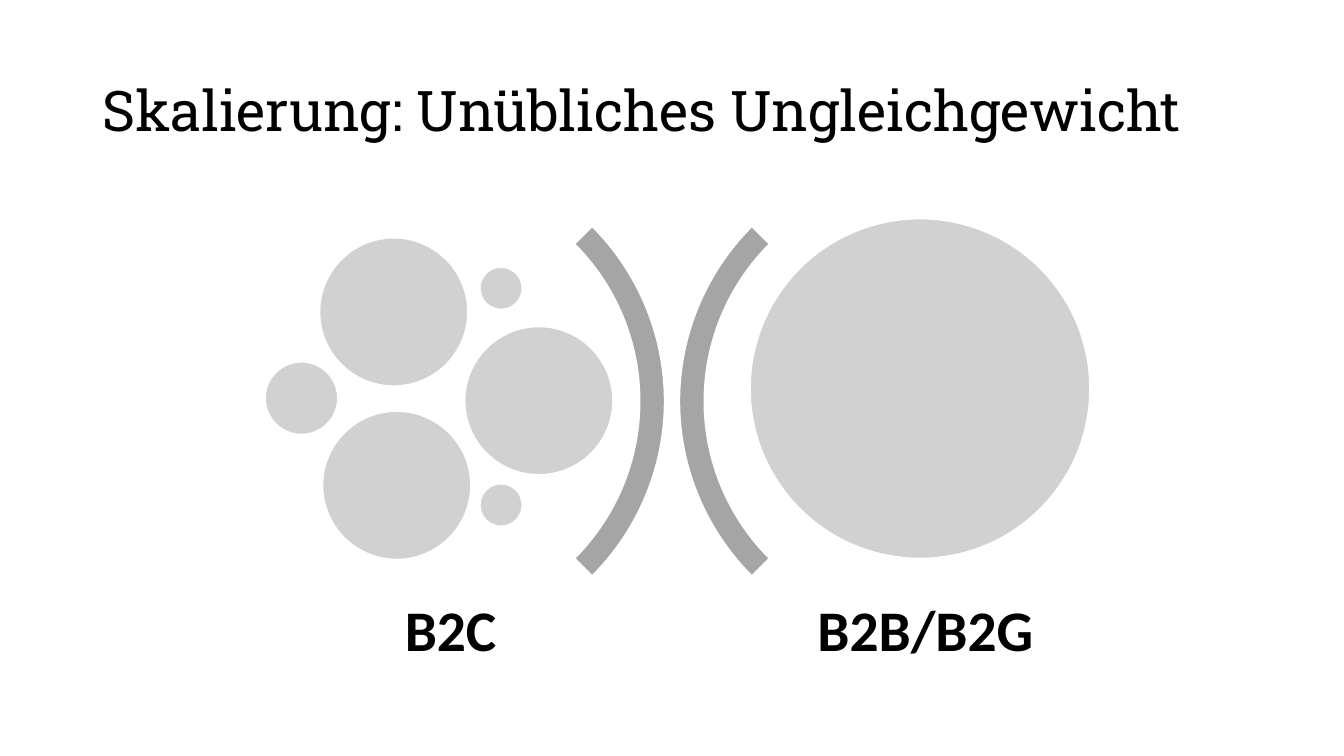
from dataclasses import dataclass

from lxml import etree
from pptx import Presentation, util as u
from pptx.dml.color import RGBColor
from pptx.enum import shapes, text
from pptx.oxml import ns

EMU_PER_PX = 9144


@dataclass(frozen=True)
class Theme:
    ink: RGBColor = RGBColor(0x00, 0x00, 0x00)
    gray: RGBColor = RGBColor(0xA5, 0xA5, 0xA5)
    outline: RGBColor = RGBColor(0xFF, 0xFF, 0xFF)
    circle_alpha: int = 50
    title_font: str = "Roboto Slab"
    label_font: str = "Calibri"
    title_size: int = 40
    label_size: int = 41


@dataclass(frozen=True)
class Circle:
    left: int
    top: int
    size: int


@dataclass(frozen=True)
class Arc:
    left: int
    rotation: int


@dataclass(frozen=True)
class Label:
    left: int
    wording: str


THEME = Theme()
LARGE, MEDIUM, SMALL, TINY = 337, 147, 72, 42
ARC_TOP, ARC_SIZE = 153, 490
ARC_ADJUSTMENTS = (135, 189, 0.05)
LABEL_TOP, LABEL_WIDTH, LABEL_HEIGHT, LABEL_INSET = 579, 372, 98, 17

ARCS = [Arc(169, 90), Arc(674, 270)]
CIRCLES = [
    Circle(744, 217, LARGE),
    Circle(317, 236, MEDIUM),
    Circle(263, 359, SMALL),
    Circle(476, 265, TINY),
    Circle(461, 324, MEDIUM),
    Circle(476, 480, TINY),
    Circle(320, 408, MEDIUM),
]
LABELS = [Label(732, "B2B/B2G"), Label(261, "B2C")]


def px(length: int) -> u.Emu:
    return u.Emu(length * EMU_PER_PX)


def add_square_shape(page, kind: shapes.MSO_SHAPE, left: int, top: int, size: int):
    shape = page.shapes.add_shape(kind, px(left), px(top), px(size), px(size))
    shape.shadow.inherit = False
    shape.fill.solid()
    shape.fill.fore_color.rgb = THEME.gray
    shape.line.color.rgb = THEME.outline
    shape.line.width = u.Pt(1)
    return shape


def draw_arc(page, arc: Arc) -> None:
    shape = add_square_shape(
        page, shapes.MSO_SHAPE.BLOCK_ARC, arc.left, ARC_TOP, ARC_SIZE
    )
    shape.rotation = arc.rotation
    for index, value in enumerate(ARC_ADJUSTMENTS):
        shape.adjustments[index] = value


def draw_circle(page, circle: Circle) -> None:
    shape = add_square_shape(
        page, shapes.MSO_SHAPE.OVAL, circle.left, circle.top, circle.size
    )
    color = shape.element.spPr.find(ns.qn("a:solidFill")).find(ns.qn("a:srgbClr"))
    alpha = etree.SubElement(color, ns.qn("a:alpha"))
    alpha.set("val", str(THEME.circle_alpha * 1000))


def write_line(box, wording: str, font: str, size: int, bold: bool, align) -> None:
    frame = box.text_frame
    frame.word_wrap = True
    frame.auto_size = text.MSO_AUTO_SIZE.NONE
    frame.vertical_anchor = text.MSO_ANCHOR.MIDDLE
    para = frame.paragraphs[0]
    para.alignment = align
    para.line_spacing = 0.9
    span = para.add_run()
    span.text = wording
    span.font.name = font
    span.font.size = u.Pt(size)
    span.font.bold = bold
    span.font.color.rgb = THEME.ink


def draw_label(page, label: Label) -> None:
    box = page.shapes.add_textbox(
        px(label.left), px(LABEL_TOP), px(LABEL_WIDTH), px(LABEL_HEIGHT)
    )
    frame = box.text_frame
    frame.margin_left = frame.margin_right = px(LABEL_INSET)
    frame.margin_top = frame.margin_bottom = px(LABEL_INSET)
    write_line(
        box, label.wording, THEME.label_font, THEME.label_size, True,
        text.PP_ALIGN.CENTER,
    )
    frame.paragraphs[0].space_after = u.Pt(14)


def draw_title(page, wording: str) -> None:
    box = page.shapes.title
    box.left, box.top, box.width, box.height = px(92), px(40), px(1150), px(145)
    write_line(
        box, wording, THEME.title_font, THEME.title_size, False, text.PP_ALIGN.LEFT
    )


def main() -> None:
    deck = Presentation()
    deck.slide_width, deck.slide_height = px(1333), px(750)
    page = deck.slides.add_slide(deck.slide_layouts.get_by_name("Title Only"))
    draw_title(page, "Skalierung: Unübliches Ungleichgewicht")
    for arc in ARCS:
        draw_arc(page, arc)
    for circle in CIRCLES:
        draw_circle(page, circle)
    for label in LABELS:
        draw_label(page, label)
    deck.save("out.pptx")


if __name__ == "__main__":
    main()
